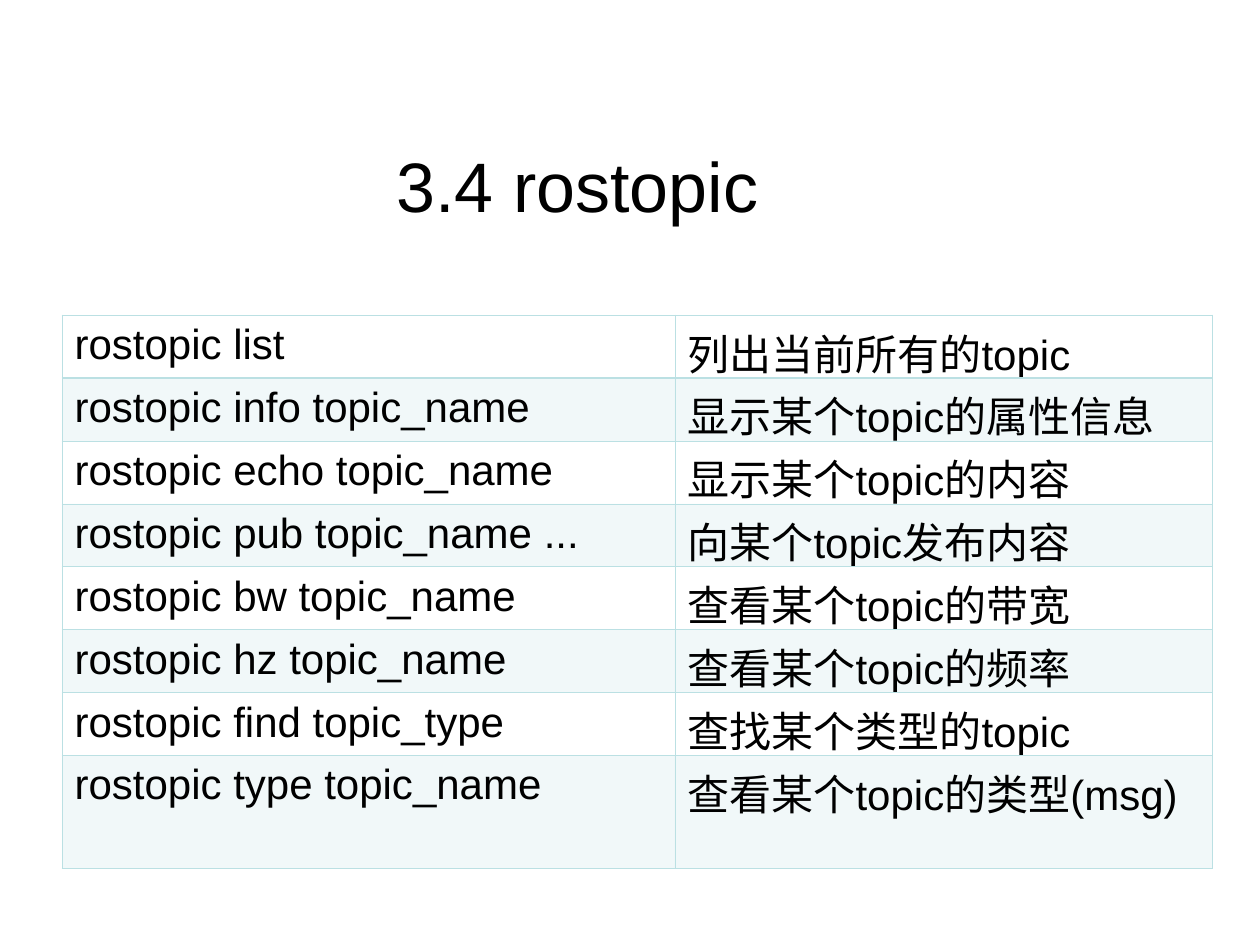
import pptx
import pptx.util
import pptx.dml.color
import pptx.enum.text
import pptx.oxml
import pptx.oxml.ns

TITLE = "3.4 rostopic"
COMMANDS = [
    ("rostopic list", "列出当前所有的topic"),
    ("rostopic info topic_name", "显示某个topic的属性信息"),
    ("rostopic echo topic_name", "显示某个topic的内容"),
    ("rostopic pub topic_name ...", "向某个topic发布内容"),
    ("rostopic bw topic_name", "查看某个topic的带宽"),
    ("rostopic hz topic_name", "查看某个topic的频率"),
    ("rostopic find topic_type", "查找某个类型的topic"),
    ("rostopic type topic_name", "查看某个topic的类型(msg)"),
]
COLORS = {"text": "000000", "teal": "BBE0E3"}
BAND_OPACITY = 20
BORDER, HEADER_BORDER = 0.45, 0.96

EMU_PER_PX = 914400 // 126
SLIDE_SIZE = (1260, 945)
TITLE_BOX = (384, 136, 492, 97)
TABLE_ORIGIN = (62, 315)
COLUMN_WIDTHS = (613, 537)
ROW_HEIGHT, LAST_ROW_HEIGHT = 63, 113


def px(length):
    return pptx.util.Emu(length * EMU_PER_PX)


TITLE_FRAME = {
    "word_wrap": True,
    "vertical_anchor": pptx.enum.text.MSO_ANCHOR.TOP,
    "auto_size": pptx.enum.text.MSO_AUTO_SIZE.NONE,
}
TITLE_FONT = {"name": "Arial", "size": pptx.util.Pt(40)}
CELL_FONT = {"name": "Arial", "size": pptx.util.Pt(24)}
CELL_FORMAT = {"margin_bottom": px(-5)}
TABLE_FORMAT = {"first_row": False, "horz_banding": False}


def apply(target, values):
    for name, value in values.items():
        setattr(target, name, value)


def write(text_frame, text, font):
    paragraph = text_frame.paragraphs[0]
    paragraph.alignment = pptx.enum.text.PP_ALIGN.LEFT
    run = paragraph.add_run()
    run.text = text
    apply(run.font, font)
    run.font.color.rgb = pptx.dml.color.RGBColor.from_string(COLORS["text"])


def fill_band(cell):
    cell.fill.solid()
    cell.fill.fore_color.rgb = pptx.dml.color.RGBColor.from_string(COLORS["teal"])
    color = cell._tc.tcPr.find(".//" + pptx.oxml.ns.qn("a:srgbClr"))
    color.append(pptx.oxml.parse_xml(
        f'<a:alpha {pptx.oxml.ns.nsdecls("a")} val="{BAND_OPACITY * 1000}"/>'))


def draw_borders(cell, widths):
    properties = cell._tc.get_or_add_tcPr()
    for index, (side, width) in enumerate(widths.items()):
        properties.insert(index, pptx.oxml.parse_xml(
            f'<a:ln{side} {pptx.oxml.ns.nsdecls("a")} w="{pptx.util.Pt(width)}">'
            f'<a:solidFill><a:srgbClr val="{COLORS["teal"]}"/></a:solidFill>'
            f'</a:ln{side}>'))


def add_title(slide):
    title = slide.shapes.title
    title.left, title.top, title.width, title.height = map(px, TITLE_BOX)
    apply(title.text_frame, TITLE_FRAME)
    write(title.text_frame, TITLE, TITLE_FONT)


def add_commands(slide):
    heights = [ROW_HEIGHT] * (len(COMMANDS) - 1) + [LAST_ROW_HEIGHT]
    box = (*TABLE_ORIGIN, sum(COLUMN_WIDTHS), sum(heights))
    table = slide.shapes.add_table(
        len(COMMANDS), len(COLUMN_WIDTHS), *map(px, box)).table
    apply(table, TABLE_FORMAT)
    for column, width in zip(table.columns, COLUMN_WIDTHS):
        column.width = px(width)
    for index, (row, height, texts) in enumerate(zip(table.rows, heights, COMMANDS)):
        row.height = px(height)
        widths = {
            "L": BORDER,
            "R": BORDER,
            "T": HEADER_BORDER if index == 1 else BORDER,
            "B": HEADER_BORDER if index == 0 else BORDER,
        }
        for cell, text in zip(row.cells, texts):
            apply(cell, CELL_FORMAT)
            write(cell.text_frame, text, CELL_FONT)
            if index % 2:
                fill_band(cell)
            else:
                cell.fill.background()
            draw_borders(cell, widths)


def main():
    presentation = pptx.Presentation()
    presentation.slide_width, presentation.slide_height = map(px, SLIDE_SIZE)
    slide = presentation.slides.add_slide(presentation.slide_layouts[5])
    add_title(slide)
    add_commands(slide)
    presentation.save("out.pptx")


if __name__ == "__main__":
    main()
